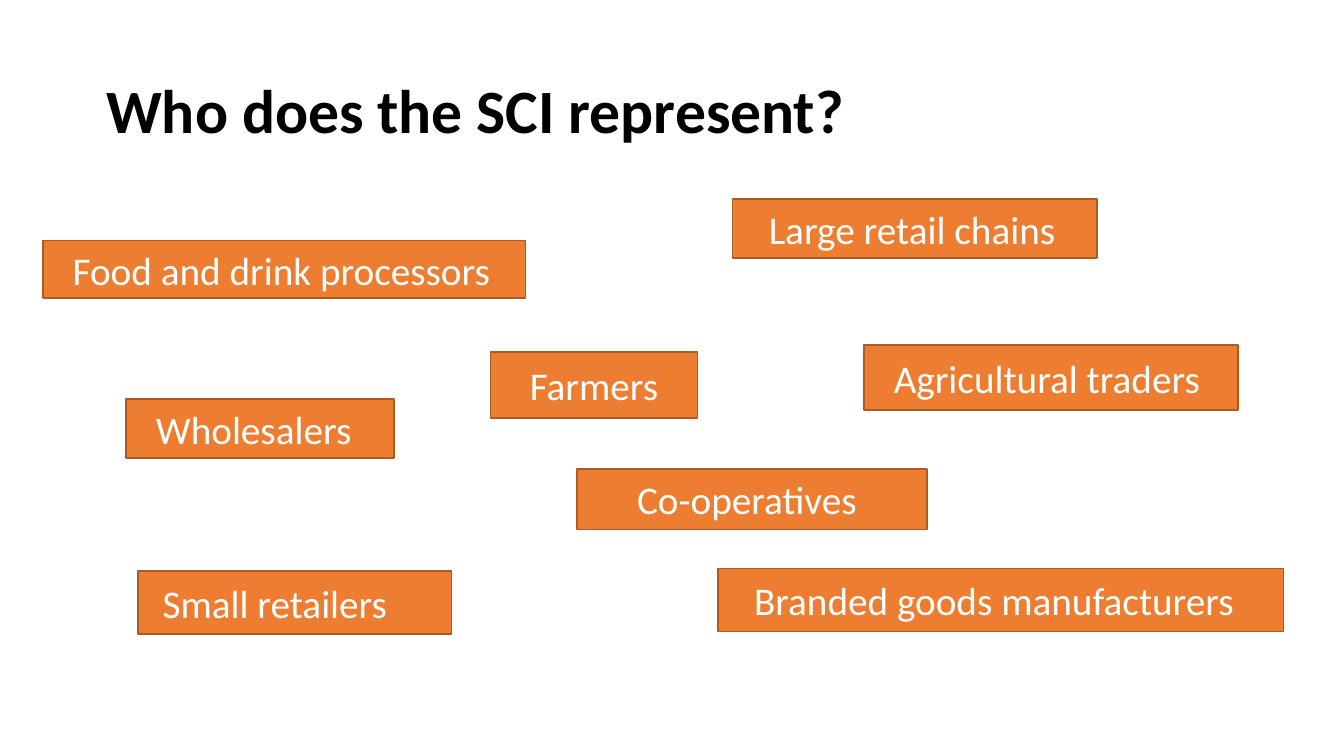
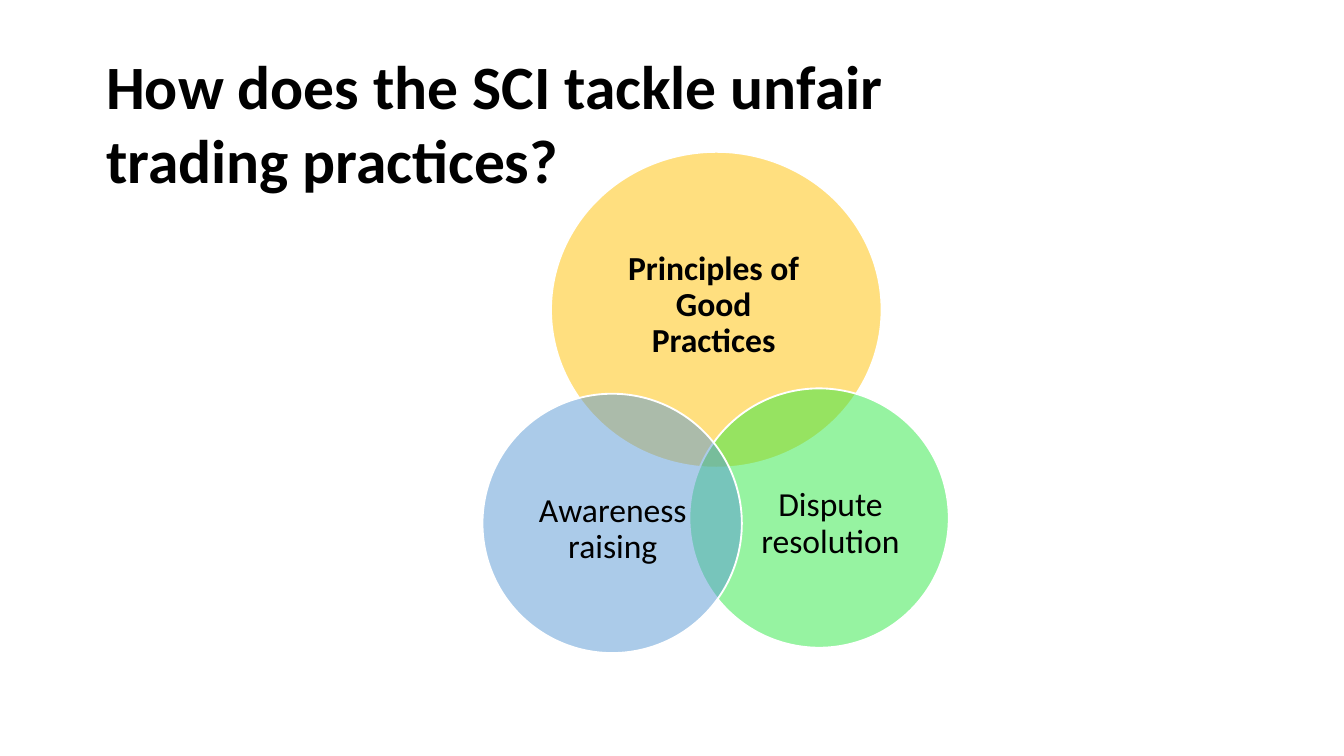
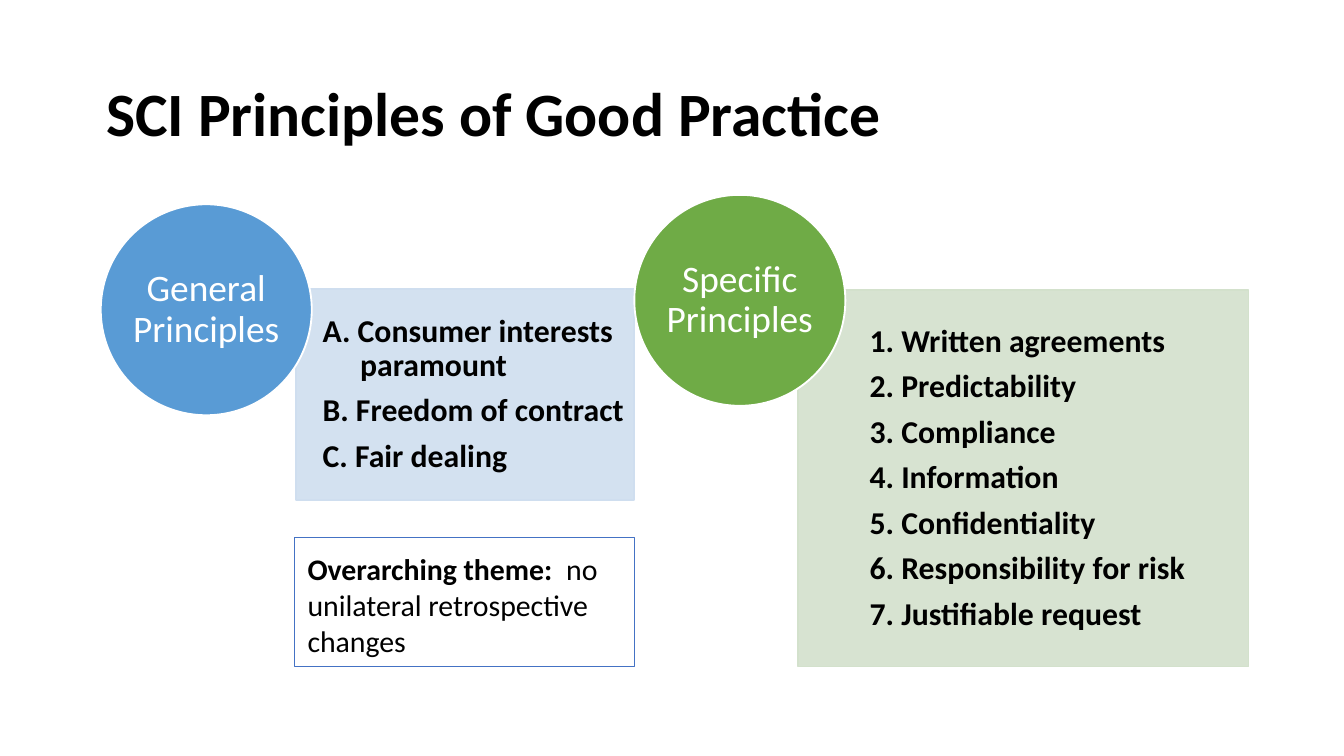
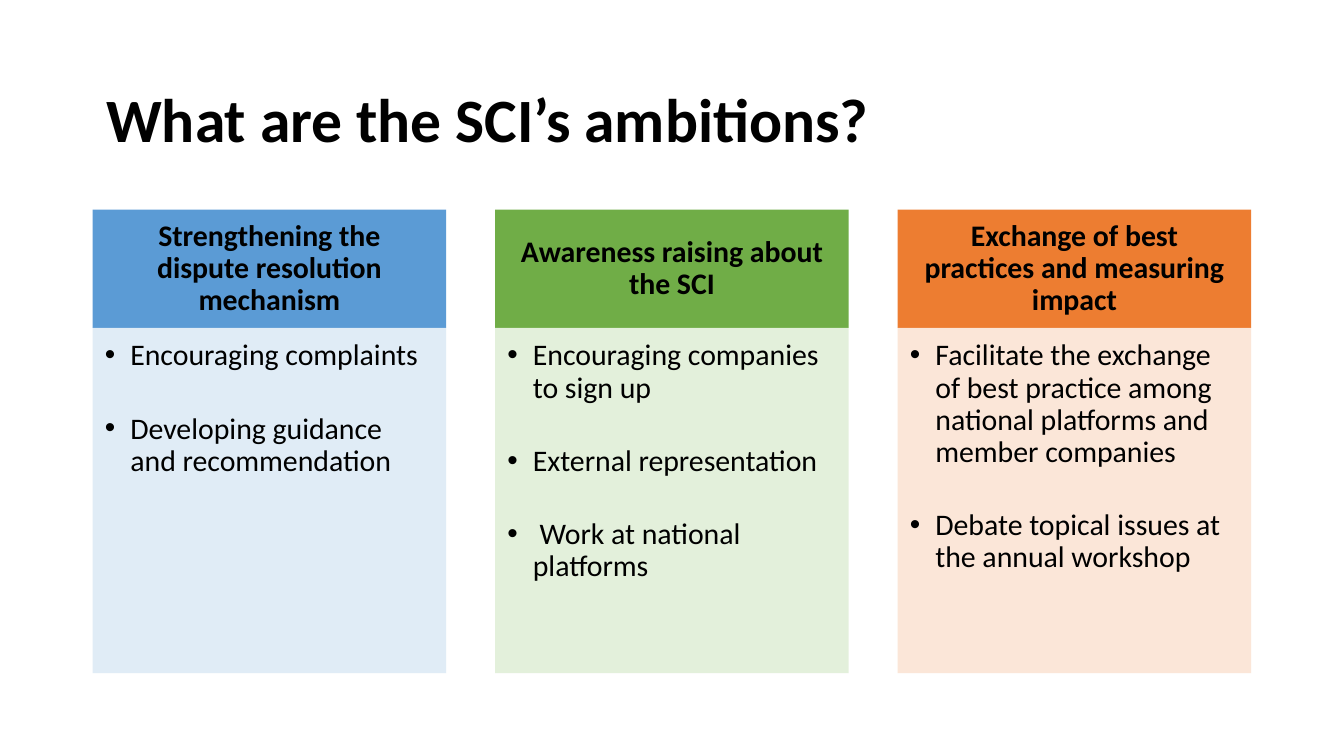
from lxml.etree import SubElement
from pptx import Presentation
from pptx.dml.color import RGBColor
from pptx.enum.shapes import MSO_SHAPE as Shape
from pptx.enum.text import MSO_ANCHOR as Anchor, MSO_AUTO_SIZE as AutoSize, PP_ALIGN as Align
from pptx.oxml.ns import qn
from pptx.util import Inches, Pt

FONT = "Calibri"
BLACK = RGBColor(0x00, 0x00, 0x00)
WHITE = RGBColor(0xFF, 0xFF, 0xFF)
ORANGE = RGBColor(0xED, 0x7D, 0x31)
DARK_ORANGE = RGBColor(0xAC, 0x5B, 0x23)
PALE_ORANGE = RGBColor(0xFB, 0xE4, 0xD4)
YELLOW = RGBColor(0xFF, 0xC0, 0x00)
BRIGHT_GREEN = RGBColor(0x2E, 0xE8, 0x44)
GREEN = RGBColor(0x70, 0xAD, 0x47)
LEAF_GREEN = RGBColor(0x6F, 0xAB, 0x46)
PALE_GREEN = RGBColor(0xE1, 0xEF, 0xD8)
GREY_GREEN = RGBColor(0xD3, 0xE1, 0xCC)
BLUE = RGBColor(0x5B, 0x9B, 0xD5)
SKY_BLUE = RGBColor(0x59, 0x99, 0xD5)
CIRCLE_BLUE = RGBColor(0x59, 0x9B, 0xD5)
OUTLINE_BLUE = RGBColor(0x44, 0x72, 0xC4)
PALE_BLUE = RGBColor(0xDD, 0xEA, 0xF6)
GREY_BLUE = RGBColor(0xCF, 0xDE, 0xEF)

# Boxes are (left, top, width, height) in inches.
# Members: name, box, left text inset (None means centred)
MEMBERS = [
    ("Farmers", (3.65, 2.62, 1.54, 0.49), None),
    ("Agricultural traders", (6.43, 2.57, 2.78, 0.48), 0.22),
    ("Food and drink processors", (0.32, 1.79, 3.59, 0.43), 0.22),
    ("Branded goods manufacturers", (5.34, 4.23, 4.21, 0.47), 0.27),
    ("Wholesalers", (0.94, 2.97, 1.99, 0.44), 0.22),
    ("Large retail chains", (5.45, 1.48, 2.71, 0.44), 0.27),
    ("Small retailers", (1.03, 4.25, 2.33, 0.47), 0.18),
    ("Co-operatives", (4.29, 3.49, 2.61, 0.45), 0.45),
]

# Activities: name, circle, text box, colour, bold
ACTIVITIES = [
    ("Principles of Good Practices", (4.1, 1.13, 2.46, 2.35), (4.6, 1.84, 1.42, 0.87), YELLOW, True),
    ("Dispute resolution", (5.13, 2.89, 1.93, 1.93), (5.6, 3.37, 1.16, 1.06), BRIGHT_GREEN, False),
    ("Awareness raising", (3.59, 2.93, 1.93, 1.93), (3.98, 3.41, 1.16, 1.06), SKY_BLUE, False),
]

# Principles: heading, circle corner, circle colour, panel, panel colour, text inset, items
PRINCIPLES = [
    ("General Principles", (0.75, 1.52), CIRCLE_BLUE, (2.2, 2.15, 2.52, 1.57), GREY_BLUE, 0.2,
     ["A. Consumer interests paramount", "B. Freedom of contract", "C. Fair dealing"]),
    ("Specific Principles", (4.72, 1.45), LEAF_GREEN, (5.94, 2.16, 3.35, 2.8), GREY_GREEN, 0.53,
     ["1. Written agreements", "2. Predictability", "3. Compliance", "4. Information",
      "5. Confidentiality", "6. Responsibility for risk", "7. Justifiable request"]),
]
PRINCIPLE_DIAMETER = 1.57
THEME_BOX = (2.19, 4, 2.53, 0.96)
THEME = [("Overarching theme:  ", True), ("no unilateral retrospective changes", False)]

# Ambitions: heading, heading colour, panel colour, items
AMBITIONS = [
    ("Strengthening the dispute resolution mechanism", BLUE, PALE_BLUE,
     ["Encouraging complaints", "Developing guidance and recommendation"]),
    ("Awareness raising about the SCI", GREEN, PALE_GREEN,
     ["Encouraging companies to sign up", "External representation", " Work at national platforms"]),
    ("Exchange of best practices and measuring impact", ORANGE, PALE_ORANGE,
     ["Facilitate the exchange of best practice among national platforms and member companies",
      "Debate topical issues at the annual workshop"]),
]
AMBITIONS_LEFT, AMBITIONS_WIDTH, AMBITIONS_TOP = 0.69, 8.62, 1.56
COLUMN_WIDTH, HEADING_HEIGHT, ITEMS_HEIGHT = 2.63, 0.88, 2.57


def place(box):
    return [Inches(length) for length in box]


def write(frame, paragraphs, size, color=BLACK, bold=False, align=Align.LEFT, anchor=Anchor.MIDDLE,
          insets=(0, 0, 0, 0), spacing=0.9, gap=0):
    """Fill a text frame; a paragraph is a string or a list of (text, bold) runs."""
    frame.word_wrap = True
    frame.auto_size = AutoSize.NONE
    frame.vertical_anchor = anchor
    frame.margin_left, frame.margin_top, frame.margin_right, frame.margin_bottom = place(insets)
    for index, content in enumerate(paragraphs):
        paragraph = frame.add_paragraph() if index else frame.paragraphs[0]
        paragraph.alignment = align
        paragraph.line_spacing = spacing
        if index and gap:
            paragraph.space_before = Pt(gap)
        runs = [(content, bold)] if isinstance(content, str) else content
        for text, is_bold in runs:
            run = paragraph.add_run()
            run.text = text
            run.font.name, run.font.size, run.font.bold = FONT, Pt(size), is_bold
            run.font.color.rgb = color


def hang(paragraph, indent, bullet=None):
    properties = paragraph._p.get_or_add_pPr()
    properties.set("marL", str(Inches(indent)))
    properties.set("indent", str(-Inches(indent)))
    if bullet:
        SubElement(properties, qn("a:buFont")).set("typeface", "Arial")
        SubElement(properties, qn("a:buChar")).set("char", bullet)


def add_figure(slide, kind, box, fill=None, line=None, line_width=1, opacity=100):
    figure = slide.shapes.add_shape(kind, *place(box))
    figure.shadow.inherit = False
    if fill is None:
        figure.fill.background()
    else:
        figure.fill.solid()
        figure.fill.fore_color.rgb = fill
        if opacity < 100:
            tint = figure._element.spPr.find(qn("a:solidFill")).find(qn("a:srgbClr"))
            SubElement(tint, qn("a:alpha")).set("val", str(opacity * 1000))
    if line is None:
        figure.line.fill.background()
    else:
        figure.line.color.rgb = line
        figure.line.width = Pt(line_width)
    return figure


def add_titled_slide(deck, title, top, width=8.62, spacing=0.9):
    slide = deck.slides.add_slide(deck.slide_layouts[5])
    heading = slide.shapes.title
    heading.left, heading.top, heading.width, heading.height = place((0.69, top, width, 1.09))
    write(heading.text_frame, [title], 33, bold=True, insets=(0.1, 0.05, 0.1, 0.05), spacing=spacing)
    return slide


def build_members(deck):
    slide = add_titled_slide(deck, "Who does the SCI represent?", 0.3)
    for name, box, inset in MEMBERS:
        label = add_figure(slide, Shape.RECTANGLE, box, ORANGE, DARK_ORANGE)
        write(label.text_frame, [name], 21, WHITE, align=Align.LEFT if inset else Align.CENTER,
              insets=(inset or 0.07, 0.04, 0.07, 0.04), spacing=1.0)


def build_activities(deck):
    slide = add_titled_slide(deck, "How does the SCI tackle unfair trading practices?", 0.36, 7.24, 1.0)
    for name, circle, text_box, color, bold in ACTIVITIES:
        add_figure(slide, Shape.OVAL, circle, color, WHITE, opacity=50)
        caption = slide.shapes.add_textbox(*place(text_box))
        write(caption.text_frame, [name], 18, bold=bold, align=Align.CENTER)


def build_principles(deck):
    slide = add_titled_slide(deck, "SCI Principles of Good Practice", 0.32, 7.53)
    for heading, corner, color, panel_box, panel_color, inset, items in PRINCIPLES:
        panel = add_figure(slide, Shape.RECTANGLE, panel_box, panel_color, panel_color, opacity=90)
        write(panel.text_frame, items, 17, bold=True, insets=(inset, 0.13, 0, 0.13), gap=6)
        for paragraph in panel.text_frame.paragraphs:
            hang(paragraph, 0.28)
        circle_box = (*corner, PRINCIPLE_DIAMETER, PRINCIPLE_DIAMETER)
        circle = add_figure(slide, Shape.OVAL, circle_box, color, WHITE)
        write(circle.text_frame, [heading], 20, WHITE, align=Align.CENTER)
    theme = add_figure(slide, Shape.RECTANGLE, THEME_BOX, line=OUTLINE_BLUE, line_width=0.75)
    write(theme.text_frame, [THEME], 16, anchor=Anchor.TOP, insets=(0.1, 0.1, 0.1, 0.1), spacing=1.0)


def build_ambitions(deck):
    slide = add_titled_slide(deck, "What are the SCI’s ambitions?", 0.37)
    pitch = (AMBITIONS_WIDTH - COLUMN_WIDTH) / (len(AMBITIONS) - 1)
    for column, (heading, color, pale_color, items) in enumerate(AMBITIONS):
        left = AMBITIONS_LEFT + column * pitch
        header = add_figure(slide, Shape.RECTANGLE,
                            (left, AMBITIONS_TOP, COLUMN_WIDTH, HEADING_HEIGHT), color)
        write(header.text_frame, [heading], 16, bold=True, align=Align.CENTER,
              insets=(0.15, 0.07, 0.15, 0.07))
        panel = add_figure(slide, Shape.RECTANGLE,
                           (left, AMBITIONS_TOP + HEADING_HEIGHT, COLUMN_WIDTH, ITEMS_HEIGHT),
                           pale_color, opacity=90)
        write(panel.text_frame, items, 16, anchor=Anchor.TOP, insets=(0.09, 0.09, 0.12, 0.14), gap=22)
        for paragraph in panel.text_frame.paragraphs:
            hang(paragraph, 0.19, "•")


def main():
    deck = Presentation()
    deck.slide_width = Inches(10)
    deck.slide_height = deck.slide_width * 9 // 16
    for build in (build_members, build_activities, build_principles, build_ambitions):
        build(deck)
    deck.save("out.pptx")


if __name__ == "__main__":
    main()
